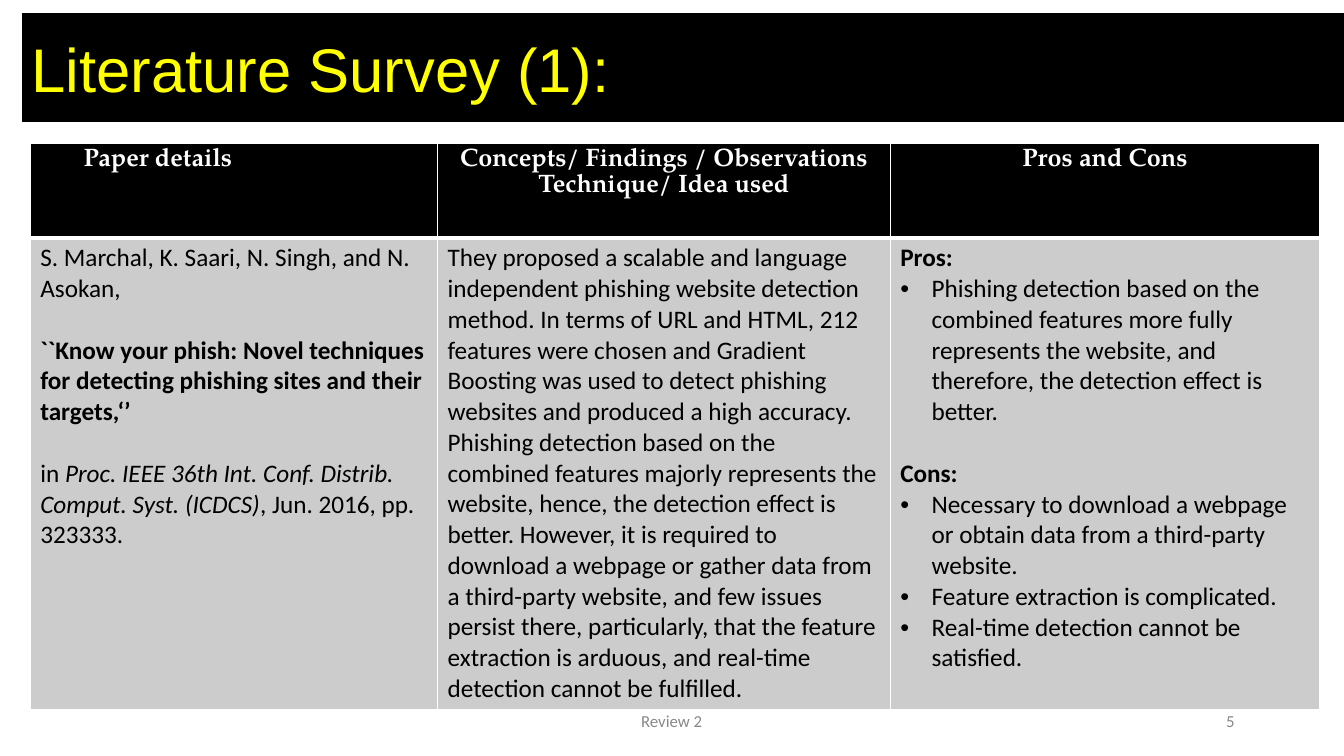
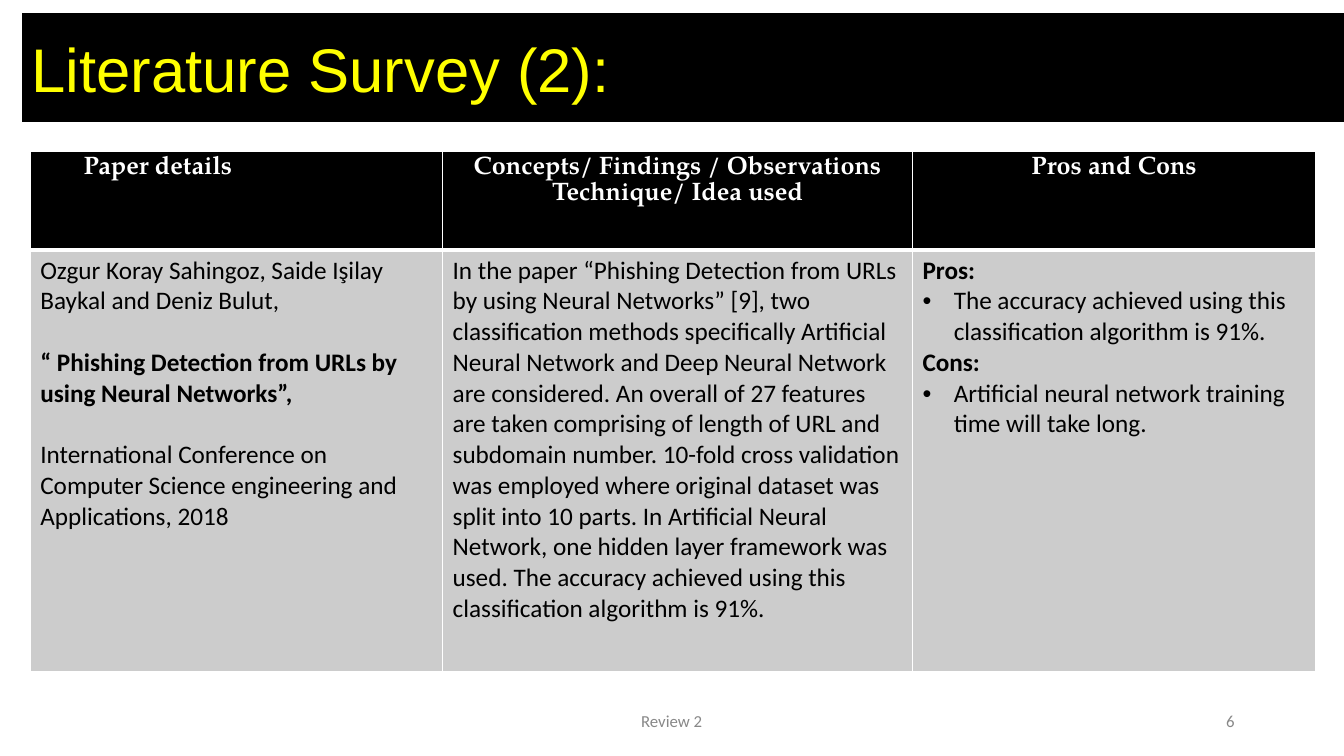
from dataclasses import dataclass

from pptx import Presentation
from pptx import util as u
from pptx.dml.color import RGBColor
from pptx.enum import shapes, text
from pptx.oxml import ns, xmlchemy as xc

HUES = {"black": "000000", "white": "FFFFFF", "title": "FFFF00",
        "cell": "CCCCCC", "foot": "888888"}
HEADS = ["Paper details", "Concepts/ Findings / Observations Technique/ Idea used",
         "Pros and Cons"]
LINE = 22  # height of one body line in points


@dataclass
class Par:
    """One paragraph: runs of (text, format), space above, bullet."""
    runs: list
    gap: float = 0
    dot: bool = False


def plain(words, gap=0):
    return Par([(words, {})], gap)


def strong(words, gap=0):
    return Par([(words, {"bold": True})], gap)


def point(words):
    return Par([(words, {})], dot=True)


def hue(name):
    return RGBColor.from_string(HUES[name])


def write(par, words, font="Calibri", size=18, color="black", bold=False, italic=False):
    run = par.add_run()
    run.text = words
    face = run.font
    face.name, face.size = font, u.Pt(size)
    face.bold, face.italic = bold, italic
    face.color.rgb = hue(color)


def indent(par, left, first=0):
    props = par._p.get_or_add_pPr()
    props.set("marL", str(u.Inches(left)))
    props.set("indent", str(u.Inches(first)))
    return props


def add(parent, tag, **attrs):
    node = xc.OxmlElement(tag)
    for key, val in attrs.items():
        node.set(key, val)
    parent.append(node)
    return node


class Deck:
    def __init__(self):
        self.show = Presentation()
        self.show.slide_width = u.Inches(13.33)
        self.show.slide_height = u.Inches(7.5)
        self.slide = None

    def page(self, title, number):
        self.slide = self.show.slides.add_slide(self.show.slide_layouts[5])
        self.band()
        self.title(title)
        self.note("Review 2", 6.35, 1.06, 0.01)
        self.note(str(number), 12.12, 0.25, 0.04)

    def place(self, shape, left, top, width, height):
        shape.left, shape.top = u.Inches(left), u.Inches(top)
        shape.width, shape.height = u.Inches(width), u.Inches(height)

    def frame(self, shape, top=0):
        """Text frame with no insets, anchored at the top."""
        box = shape.text_frame
        box.margin_left = box.margin_right = box.margin_bottom = 0
        box.margin_top = u.Inches(top)
        box.word_wrap = True
        box.auto_size = text.MSO_AUTO_SIZE.NONE
        box.vertical_anchor = text.MSO_ANCHOR.TOP
        return box.paragraphs[0]

    def band(self):
        bar = self.slide.shapes.add_shape(
            shapes.MSO_SHAPE.RECTANGLE, u.Inches(0.22), u.Inches(0.13),
            u.Inches(13.11), u.Inches(1.08))
        bar.shadow.inherit = False
        bar.fill.solid()
        bar.fill.fore_color.rgb = hue("black")
        bar.line.fill.background()
        # The band lies behind the title
        tree = self.slide.shapes._spTree
        tree.remove(bar._element)
        tree.insert(2, bar._element)

    def title(self, words):
        head = self.slide.shapes.title
        self.place(head, 0.3, 0.29, 12.07, 0.76)
        par = self.frame(head, 0.02)
        par.alignment = text.PP_ALIGN.LEFT
        par.space_before = u.Pt(1.3)
        indent(par, 0.01)
        write(par, words, font="Arial", size=44, color="title")

    def note(self, words, left, width, inset):
        box = self.slide.shapes.add_textbox(
            u.Inches(left), u.Inches(7.08), u.Inches(width), u.Inches(0.19))
        par = self.frame(box)
        par.line_spacing = u.Pt(12.4)
        indent(par, inset)
        write(par, words, size=12, color="foot")

    def paint(self, cell, color, base=1):
        """White cell borders, then the fill."""
        props = cell._tc.get_or_add_tcPr()
        for side in "LRTB":
            wide = base if side == "B" else 1
            edge = add(props, "a:ln" + side, w=str(u.Pt(wide)))
            add(add(edge, "a:solidFill"), "a:srgbClr", val=HUES["white"])
        cell.fill.solid()
        cell.fill.fore_color.rgb = hue(color)

    def head(self, cell, words, first):
        self.paint(cell, "black", 3)
        par = cell.text_frame.paragraphs[0]
        par.line_spacing = u.Pt(18)
        if first:
            indent(par, 0.43)
        else:
            par.alignment = text.PP_ALIGN.CENTER
        write(par, words, font="TeX Gyre Pagella", color="white", bold=True)

    def body(self, cell, pars):
        self.paint(cell, "cell")
        box = cell.text_frame
        for i, item in enumerate(pars):
            par = box.add_paragraph() if i else box.paragraphs[0]
            par.space_before = u.Pt(item.gap)
            if item.dot:
                props = indent(par, 0.31, -0.31)
                add(props, "a:buFont", typeface="Arial")
                add(props, "a:buChar", char="•")
            for words, style in item.runs:
                write(par, words, **style)

    def table(self, top, cols, rows, cells):
        grid = self.slide.shapes.add_table(
            2, len(cols), u.Inches(0.3), u.Inches(top),
            u.Inches(sum(cols)), u.Inches(sum(rows))).table
        grid.first_row = grid.horz_banding = False
        for row, size in zip(grid.rows, rows):
            row.height = u.Inches(size)
        for i, (size, words, pars) in enumerate(zip(cols, HEADS, cells)):
            grid.columns[i].width = u.Inches(size)
            self.head(grid.cell(0, i), words, i == 0)
            self.body(grid.cell(1, i), pars)


# Papers: position and size of the table, then its body cells
PAPERS = [
    (1.42, [4.04, 4.49, 4.26], [0.94, 4.6], [
        [plain("S. Marchal, K. Saari, N. Singh, and N. Asokan,"),
         strong("``Know your phish: Novel techniques for detecting phishing sites "
                "and their targets,‘’", LINE),
         Par([("in ", {}),
              ("Proc. IEEE 36th Int. Conf. Distrib. Comput. Syst. (ICDCS)",
               {"italic": True}),
              (", Jun. 2016, pp. 323333.", {})], LINE)],
        [plain("They proposed a scalable and language independent phishing website "
               "detection method. In terms of URL and HTML, 212 features were chosen "
               "and Gradient Boosting was used to detect phishing websites and "
               "produced a high accuracy. Phishing detection based on the combined "
               "features majorly represents the website, hence, the detection effect "
               "is better. However, it is required to download a webpage or gather "
               "data from a third-party website, and few issues persist there, "
               "particularly, that the feature extraction is arduous, and real-time "
               "detection cannot be fulfilled.")],
        [strong("Pros:"),
         point("Phishing detection based on the combined features more fully "
               "represents the website, and therefore, the detection effect is "
               "better."),
         strong("Cons:", LINE),
         point("Necessary to download a webpage or obtain data from a third-party "
               "website."),
         point("Feature extraction is complicated."),
         point("Real-time detection cannot be satisfied.")],
    ]),
    (1.5, [4.09, 4.66, 4], [0.98, 4.18], [
        [plain("Ozgur Koray Sahingoz, Saide Işilay Baykal and Deniz Bulut,"),
         strong("“ Phishing Detection from URLs by using Neural Networks”,", LINE),
         plain("International Conference on Computer Science engineering and "
               "Applications, 2018", LINE)],
        [plain("In the paper “Phishing Detection from URLs by using Neural Networks” "
               "[9], two classification methods specifically Artificial Neural "
               "Network and Deep Neural Network are considered. An overall of 27 "
               "features are taken comprising of length of URL and subdomain number. "
               "10-fold cross validation was employed where original dataset was "
               "split into 10 parts. In Artificial Neural Network, one hidden layer "
               "framework was used. The accuracy achieved using this classification "
               "algorithm is 91%.")],
        [strong("Pros:"),
         point("The accuracy achieved using this classification algorithm is 91%."),
         strong("Cons:"),
         point("Artificial neural network training time will take long.")],
    ]),
]


def main():
    deck = Deck()
    for i, paper in enumerate(PAPERS, 1):
        deck.page(f"Literature Survey ({i}):", i + 4)
        deck.table(*paper)
    deck.show.save("out.pptx")


if __name__ == "__main__":
    main()
